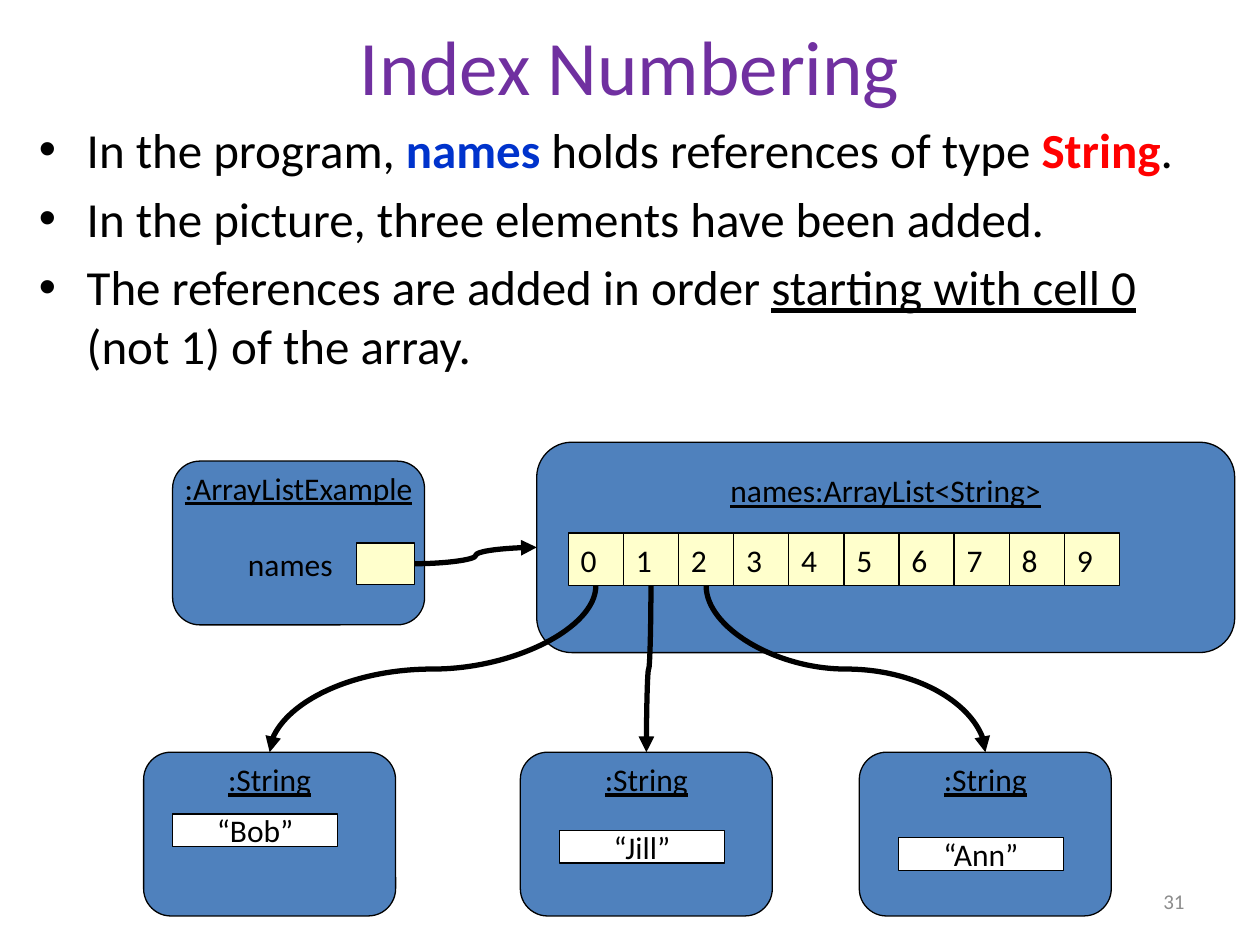
"""Build the Index Numbering slide, showing an ArrayList and the String objects it references."""
import pptx
import pptx.dml.color
import pptx.enum.shapes
import pptx.enum.text
import pptx.oxml
import pptx.oxml.ns
import pptx.util
from pptx.util import Inches

RGB = pptx.dml.color.RGBColor.from_string
SHAPES = pptx.enum.shapes.MSO_SHAPE
ALIGN = pptx.enum.text.PP_ALIGN
ANCHOR = pptx.enum.text.MSO_ANCHOR

THEME = {
    "font": "Calibri",
    "ink": "000000", "title": "7030A0", "variable": "0033CC", "type": "FF0000",
    "number": "8C8C8C", "object": "4F81BD", "cell": "FFFFCC", "value": "FFFFFF",
    "title_size": 44, "body_size": 28, "label_size": 18, "number_size": 12,
    "outline": 0.75, "arrow": 3,
}


def add_text(paragraph, text, size, color="ink", **formats):
    run = paragraph.add_run()
    run.text = text
    run.font.color.rgb = RGB(THEME[color])
    values = {"name": THEME["font"], "size": pptx.util.Pt(THEME[size]), **formats}
    for name, value in values.items():
        setattr(run.font, name, value)


def add_box(kind, left, top, width, height, fill, **frame_formats):
    shape = slide.shapes.add_shape(kind, Inches(left), Inches(top), Inches(width), Inches(height))
    shape.shadow.inherit = False
    shape.fill.solid()
    shape.fill.fore_color.rgb = RGB(THEME[fill])
    shape.line.color.rgb = RGB(THEME["ink"])
    shape.line.width = pptx.util.Pt(THEME["outline"])
    values = {"word_wrap": True, "vertical_anchor": ANCHOR.MIDDLE, "margin_left": 0,
              "margin_right": 0, "margin_top": 0, "margin_bottom": 0, **frame_formats}
    for name, value in values.items():
        setattr(shape.text_frame, name, value)
    shape.text_frame.paragraphs[0].alignment = ALIGN.CENTER
    return shape


presentation = pptx.Presentation()
presentation.slide_width = Inches(10)
presentation.slide_height = Inches(7.5)
slide = presentation.slides.add_slide(presentation.slide_layouts[5])

title = slide.shapes.title
title_place = {"left": 0.5, "top": 0.15, "width": 9, "height": 0.73}
for name, value in title_place.items():
    setattr(title, name, Inches(value))
title.text_frame.vertical_anchor = ANCHOR.MIDDLE
title.text_frame.paragraphs[0].alignment = ALIGN.CENTER
add_text(title.text_frame.paragraphs[0], "Index Numbering", "title_size", "title")

bullets = [
    [("In the program, ", {}), ("names", {"color": "variable", "bold": True}),
     (" holds references of type ", {}), ("String", {"color": "type", "bold": True}), (".", {})],
    [("In the picture, three elements have been added.", {})],
    [("The references are added in order ", {}), ("starting with cell 0 ", {"underline": True}),
     ("(not 1) of the array.", {})],
]
body = slide.shapes.add_textbox(Inches(0.21), Inches(0.9), Inches(9.29), Inches(2.4)).text_frame
body.word_wrap = True
for index, runs in enumerate(bullets):
    paragraph = body.add_paragraph() if index else body.paragraphs[0]
    properties = paragraph._p.get_or_add_pPr()
    properties.set("marL", str(Inches(0.38)))
    properties.set("indent", str(-Inches(0.38)))
    for tag, attribute, value in (("a:buFont", "typeface", "Arial"), ("a:buChar", "char", "•")):
        element = pptx.oxml.ns.qn(tag)
        properties.append(properties.makeelement(element, {attribute: value}))
    paragraph.space_before = pptx.util.Pt(5.6 if index else 0)
    for text, formats in runs:
        add_text(paragraph, text, "body_size", **formats)

array_left, array_top, array_height = 4.26, 3.51, 1.67
object_width, object_height, strings_top = 2, 1.3, 5.97
objects = [
    ("names:ArrayList<String>", array_left, array_top, 5.54, array_height, 0.15),
    (":ArrayListExample", 1.37, 3.66, object_width, object_height, 0),
]
string_lefts = [1.14, 4.13, 6.82]
for left in string_lefts:
    objects.append((":String", left, strings_top, object_width, object_height, 0))
frames = {}
for label, left, top, width, height, margin in objects:
    shape = add_box(SHAPES.ROUNDED_RECTANGLE, left, top, width, height, "object",
                    vertical_anchor=ANCHOR.TOP, margin_top=Inches(margin))
    add_text(shape.text_frame.paragraphs[0], label, "label_size", underline=True)
    frames[label] = shape.text_frame

paragraph = frames[":ArrayListExample"].add_paragraph()
paragraph.alignment = ALIGN.CENTER
paragraph.space_before = pptx.util.Pt(22)
paragraph._p.get_or_add_pPr().set("marR", str(Inches(0.13)))
add_text(paragraph, "names", "label_size")

cells_left, cells_top, cell_width, cell_height = 4.51, 4.23, 0.4375, 0.42
for index in range(10):
    cell = add_box(SHAPES.RECTANGLE, cells_left + index * cell_width, cells_top,
                   cell_width, cell_height, "cell", margin_left=Inches(0.1))
    cell.text_frame.paragraphs[0].alignment = ALIGN.LEFT
    add_text(cell.text_frame.paragraphs[0], str(index), "label_size")

slot_left, slot_top, slot_width, slot_height = 2.83, 4.31, 0.46, 0.33
add_box(SHAPES.RECTANGLE, slot_left, slot_top, slot_width, slot_height, "cell")

for text, left, top in (("“Bob”", 1.37, 6.46), ("“Jill”", 4.44, 6.59), ("“Ann”", 7.13, 6.65)):
    value_box = add_box(SHAPES.RECTANGLE, left, top, 1.31, 0.26, "value")
    add_text(value_box.text_frame.paragraphs[0], text, "label_size")

arrows = [(slot_left + slot_width, slot_top + slot_height / 2,
           array_left, array_top + array_height / 2, 0)]
cells_bottom = cells_top + cell_height
drop = strings_top - cells_bottom
middle_y = cells_bottom + drop / 2
for index, left in enumerate(string_lefts):
    start_x = cells_left + (index + 0.5) * cell_width
    end_x = left + object_width / 2
    middle_x = (start_x + end_x) / 2
    half_span = abs(end_x - start_x) / 2
    turn, half_drop = (90, drop / 2) if end_x < start_x else (270, -drop / 2)
    arrows.append((middle_x - half_drop, middle_y - half_span,
                   middle_x + half_drop, middle_y + half_span, turn))
for *points, turn in arrows:
    arrow = slide.shapes.add_connector(pptx.enum.shapes.MSO_CONNECTOR.CURVE,
                                       *[Inches(point) for point in points])
    arrow.line.color.rgb = RGB(THEME["ink"])
    arrow.line.width = pptx.util.Pt(THEME["arrow"])
    properties = arrow._element.spPr
    if turn:
        properties.xfrm.set("rot", str(turn * 60000))
    line = arrow.line._get_or_add_ln()
    line.append(line.makeelement(pptx.oxml.ns.qn("a:tailEnd"), {"type": "triangle"}))
    properties.append(properties.makeelement(pptx.oxml.ns.qn("a:effectLst"), {}))

number = slide.shapes.add_textbox(Inches(7.17), Inches(6.95), Inches(2.33), Inches(0.4)).text_frame
number.word_wrap = True
number.vertical_anchor = ANCHOR.MIDDLE
number.paragraphs[0].alignment = ALIGN.RIGHT
add_text(number.paragraphs[0], "31", "number_size", "number")

presentation.save("out.pptx")
